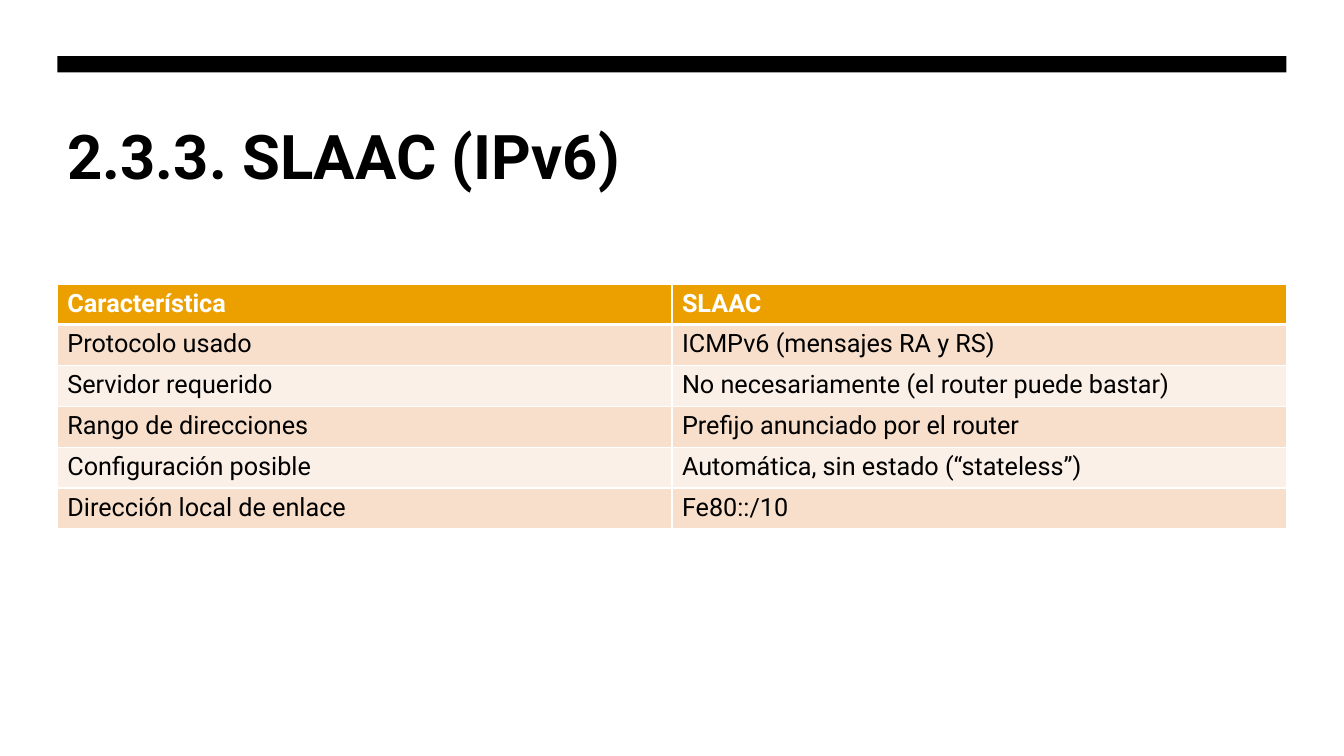
from dataclasses import dataclass
from typing import NamedTuple

from lxml.etree import SubElement
from pptx import Presentation
from pptx.dml.color import RGBColor
from pptx.enum.shapes import MSO_SHAPE
from pptx.enum.text import MSO_ANCHOR
from pptx.oxml.ns import qn
from pptx.util import Pt


@dataclass(frozen=True)
class Theme:
    font: str = "Roboto"
    black: str = "000000"
    white: str = "FFFFFF"
    head: str = "EBA000"
    odd: str = "F7DFCC"
    even: str = "FBF0E7"
    title: float = 44
    body: float = 18


class Box(NamedTuple):
    left: float
    top: float
    width: float
    height: float

    def place(self) -> list:
        return [Pt(side) for side in self]


class Row(NamedTuple):
    label: str
    value: str


THEME = Theme()
BAR = Box(41, 40.2, 878, 11.5)
TITLE = Box(41, 77, 878, 115)
GRID = Box(41, 203, 878, 174.3)
HEAD_ROW, BODY_ROW = 28.3, 29.2
ROWS = [
    Row("Característica", "SLAAC"),
    Row("Protocolo usado", "ICMPv6 (mensajes RA y RS)"),
    Row("Servidor requerido", "No necesariamente (el router puede bastar)"),
    Row("Rango de direcciones", "Prefijo anunciado por el router"),
    Row("Configuración posible", "Automática, sin estado (“stateless”)"),
    Row("Dirección local de enlace", "Fe80::/10"),
]


def write(frame, text: str, size: float, color: str, bold: bool) -> None:
    run = frame.paragraphs[0].add_run()
    run.text = text
    form = {"name": THEME.font, "size": Pt(size), "bold": bold}
    for name, value in form.items():
        setattr(run.font, name, value)
    run.font.color.rgb = RGBColor.from_string(color)


def paint(item, color: str) -> None:
    item.fill.solid()
    item.fill.fore_color.rgb = RGBColor.from_string(color)


def edge(cell, widths: dict[str, float]) -> None:
    """Put white borders ahead of the cell's fill, as the schema requires."""
    props = cell._tc.get_or_add_tcPr()
    for spot, (side, width) in enumerate(widths.items()):
        line = SubElement(props, qn(f"a:{side}"), w=str(Pt(width)))
        fill = SubElement(line, qn("a:solidFill"))
        SubElement(fill, qn("a:srgbClr"), val=THEME.white)
        props.insert(spot, line)


def add_bar(slide) -> None:
    bar = slide.shapes.add_shape(MSO_SHAPE.RECTANGLE, *BAR.place())
    bar.shadow.inherit = False
    bar.line.fill.background()
    paint(bar, THEME.black)


def add_title(slide) -> None:
    frame = slide.shapes.add_textbox(*TITLE.place()).text_frame
    form = {
        "word_wrap": True,
        "vertical_anchor": MSO_ANCHOR.TOP,
        "margin_left": Pt(7.2),
        "margin_top": Pt(7.2),
    }
    for name, value in form.items():
        setattr(frame, name, value)
    write(frame, "2.3.3. SLAAC (IPv6)", THEME.title, THEME.black, True)


def add_grid(slide) -> None:
    count = len(Row._fields)
    table = slide.shapes.add_table(len(ROWS), count, *GRID.place()).table
    for col in table.columns:
        col.width = Pt(GRID.width / count)
    for i, row in enumerate(ROWS):
        head = i == 0
        table.rows[i].height = Pt(HEAD_ROW if head else BODY_ROW)
        fill = THEME.head if head else THEME.odd if i % 2 else THEME.even
        ink = THEME.white if head else THEME.black
        widths = {"lnL": 1, "lnR": 1, "lnT": 3 if i == 1 else 1,
                  "lnB": 3 if head else 1}
        for j, text in enumerate(row):
            cell = table.cell(i, j)
            paint(cell, fill)
            edge(cell, widths)
            write(cell.text_frame, text, THEME.body, ink, head)


def main() -> None:
    deck = Presentation()
    deck.slide_width, deck.slide_height = Pt(960), Pt(540)
    slide = deck.slides.add_slide(deck.slide_layouts[6])
    add_bar(slide)
    add_title(slide)
    add_grid(slide)
    deck.save("out.pptx")


if __name__ == "__main__":
    main()
